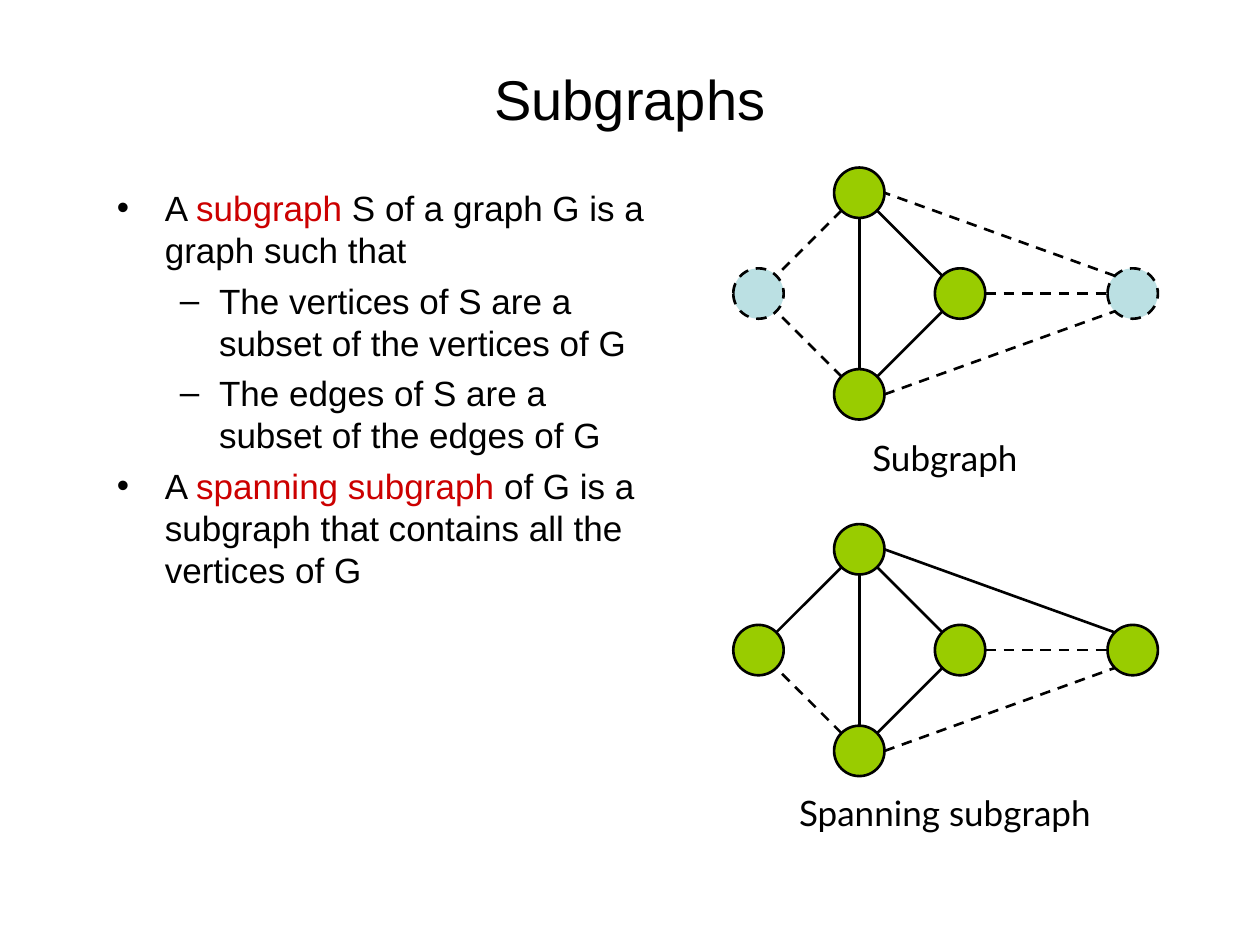
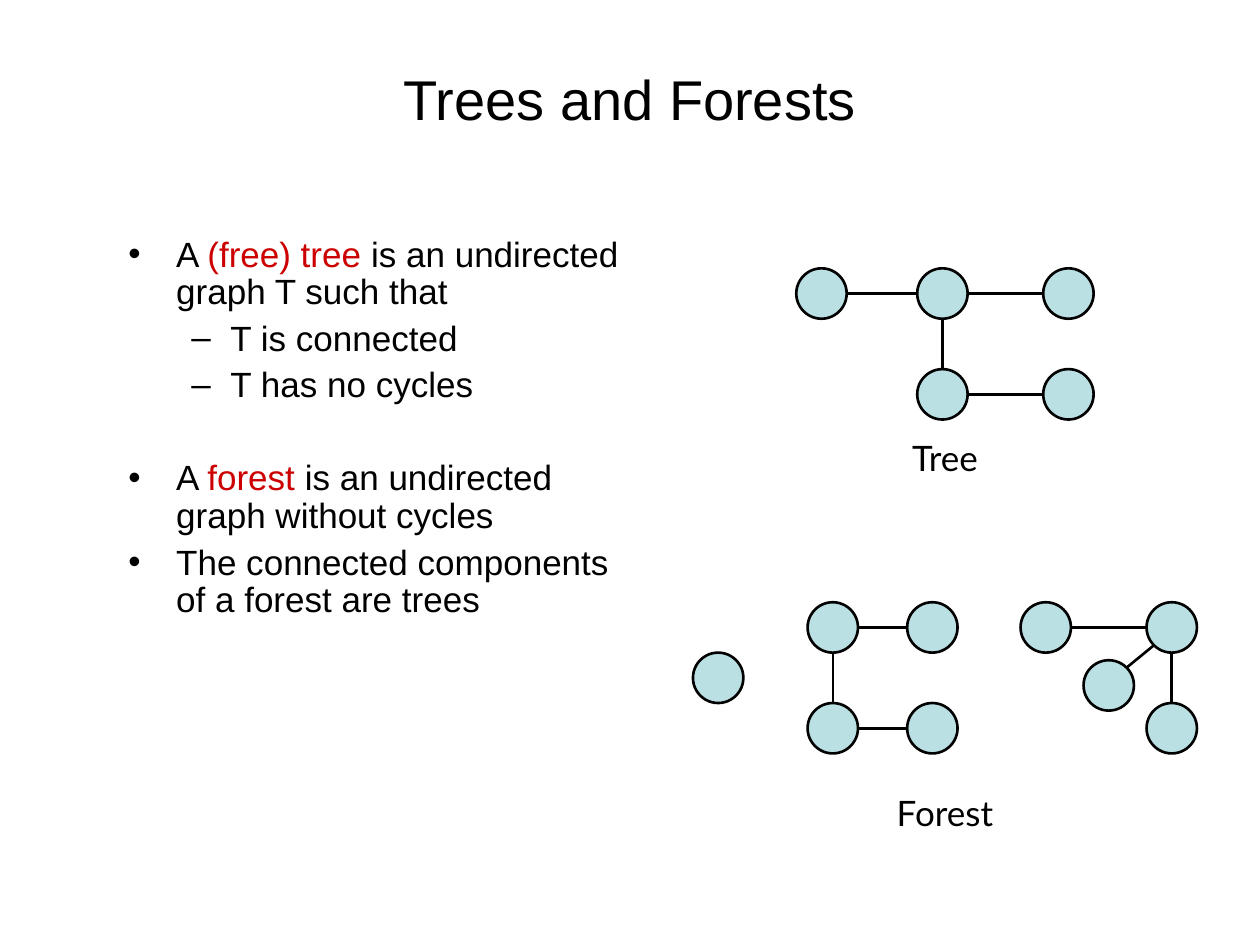
from lxml import etree
from pptx import Presentation
from pptx.dml.color import RGBColor
from pptx.enum.dml import MSO_LINE
from pptx.enum.shapes import MSO_CONNECTOR, MSO_SHAPE
from pptx.enum.text import MSO_ANCHOR, PP_ALIGN
from pptx.oxml.ns import qn
from pptx.util import Inches, Pt

STRAIGHT = MSO_CONNECTOR.STRAIGHT
ELLIPSE = MSO_SHAPE.OVAL
DASH = MSO_LINE.DASH
CENTER = PP_ALIGN.CENTER
MIDDLE = MSO_ANCHOR.MIDDLE

COLORS = {"ink": "000000", "term": "CC0000", "member": "99CC00", "plain": "BBE0E3"}
RADIUS = 0.2
DIAGONAL = 0.14
SITES = {
    "N": (0, -RADIUS), "S": (0, RADIUS), "W": (-RADIUS, 0), "E": (RADIUS, 0),
    "NW": (-DIAGONAL, -DIAGONAL), "NE": (DIAGONAL, -DIAGONAL),
    "SW": (-DIAGONAL, DIAGONAL), "SE": (DIAGONAL, DIAGONAL),
}
BULLETS = [("•", 0.38, -0.38), ("–", 0.81, -0.31)]

DIAMOND_EDGES = [
    ("top", "SW", "left", "NE"), ("bottom", "NW", "left", "SE"),
    ("bottom", "NE", "inner", "SW"), ("top", "SE", "inner", "NW"),
    ("top", "S", "bottom", "N"), ("inner", "E", "right", "W"),
    ("bottom", "E", "right", "SW"), ("right", "NW", "top", "E"),
]
TREE_VERTICES = {
    "left": (6.52, 2.33), "hub": (7.48, 2.33), "right": (8.48, 2.33),
    "below": (7.48, 3.13), "leaf": (8.48, 3.13),
}
TREE_EDGES = [
    ("left", "E", "hub", "W"), ("hub", "E", "right", "W"),
    ("hub", "S", "below", "N"), ("below", "E", "leaf", "W"),
]
FOREST_VERTICES = {
    "single": (5.7, 5.38),
    "a1": (6.61, 4.98), "a2": (7.4, 4.98), "a3": (6.61, 5.78), "a4": (7.4, 5.78),
    "b1": (8.3, 4.98), "b2": (9.3, 4.98), "b3": (9.3, 5.78), "b4": (8.8, 5.44),
}
FOREST_EDGES = [
    ("a1", "E", "a2", "W"), ("a1", "S", "a3", "N"), ("a3", "E", "a4", "W"),
    ("b1", "E", "b2", "W"), ("b2", "S", "b3", "N"), ("b4", "NE", "b2", "SW"),
]


class GraphDeck:
    """Draws titled slides with bulleted text and captioned graphs."""

    def __init__(self):
        self.presentation = Presentation()
        self.presentation.slide_width = Inches(10)
        self.presentation.slide_height = Inches(7.5)
        self.slide = None

    def color(self, name):
        return RGBColor.from_string(COLORS[name])

    def style_line(self, line, dashed):
        line.color.rgb = self.color("ink")
        line.width = Pt(1.5)
        if dashed:
            line.dash_style = DASH

    def text_frame(self, left, top, width, height):
        box = self.slide.shapes.add_textbox(
            Inches(left), Inches(top), Inches(width), Inches(height))
        box.text_frame.word_wrap = True
        return box.text_frame

    def style_font(self, paragraph, name, size):
        paragraph.font.name = name
        paragraph.font.size = Pt(size)

    def centered(self, text, area, font, size):
        frame = self.text_frame(*area)
        frame.vertical_anchor = MIDDLE
        paragraph = frame.paragraphs[0]
        paragraph.text = text
        paragraph.alignment = CENTER
        self.style_font(paragraph, font, size)
        paragraph.font.color.rgb = self.color("ink")

    def start_slide(self, title):
        self.slide = self.presentation.slides.add_slide(
            self.presentation.slide_layouts[6])
        self.centered(title, (0.5, 0.3, 9, 0.95), "Arial", 32)

    def caption(self, text, top):
        self.centered(text, (5.5, top, 4, 0.44), "Lato", 20)

    def bullets(self, items, area, line_spacing=1.0):
        frame = self.text_frame(*area)
        for index, (level, text, space_before) in enumerate(items):
            paragraph = frame.add_paragraph() if index else frame.paragraphs[0]
            paragraph.level = level
            paragraph.line_spacing = line_spacing
            paragraph.space_before = Pt(space_before)
            symbol, margin, indent = BULLETS[level]
            properties = paragraph._p.get_or_add_pPr()
            properties.set("marL", str(Inches(margin)))
            properties.set("indent", str(Inches(indent)))
            etree.SubElement(properties, qn("a:buFont"), typeface="Arial")
            etree.SubElement(properties, qn("a:buChar"), char=symbol)
            self.style_font(paragraph, "Arial", 20)
            for part, words in enumerate(text.split("*")):
                run = paragraph.add_run()
                run.text = words
                run.font.color.rgb = self.color("term" if part % 2 else "ink")

    def vertex(self, center, fill, dashed=False):
        x, y = center
        shape = self.slide.shapes.add_shape(
            ELLIPSE, Inches(x - RADIUS), Inches(y - RADIUS),
            Inches(2 * RADIUS), Inches(2 * RADIUS))
        shape.shadow.inherit = False
        shape.fill.solid()
        shape.fill.fore_color.rgb = self.color(fill)
        self.style_line(shape.line, dashed)

    def edge(self, start, start_site, end, end_site, dashed=False):
        points = [
            Inches(value + offset)
            for center, site in ((start, start_site), (end, end_site))
            for value, offset in zip(center, SITES[site])
        ]
        connector = self.slide.shapes.add_connector(STRAIGHT, *points)
        etree.SubElement(connector._element.spPr, qn("a:effectLst"))
        self.style_line(connector.line, dashed)

    def graph(self, vertices, edges, fill, outside=(), dashed_edges=()):
        for name, center in vertices.items():
            excluded = name in outside
            self.vertex(center, "plain" if excluded else fill, excluded)
        for start, start_site, end, end_site in edges:
            self.edge(vertices[start], start_site, vertices[end], end_site,
                      {start, end} in dashed_edges)


def diamond_vertices(top):
    middle = top + 0.8
    return {
        "top": (6.82, top), "bottom": (6.82, top + 1.6), "left": (6.02, middle),
        "inner": (7.62, middle), "right": (8.99, middle),
    }


def main():
    deck = GraphDeck()

    deck.start_slide("Subgraphs")
    deck.bullets([
        (0, "A *subgraph* S of a graph G is a graph such that", 5),
        (1, "The vertices of S are a subset of the vertices of G", 5),
        (1, "The edges of S are a subset of the edges of G", 5),
        (0, "A *spanning subgraph* of G is a subgraph that contains all "
            "the vertices of G", 5),
    ], (0.83, 1.43, 4.42, 5.52))
    omitted = [{"bottom", "left"}, {"inner", "right"}, {"bottom", "right"}]
    deck.graph(diamond_vertices(1.53), DIAMOND_EDGES, "member", ("left", "right"),
               omitted + [{"top", "left"}, {"top", "right"}])
    deck.caption("Subgraph", 3.41)
    deck.graph(diamond_vertices(4.36), DIAMOND_EDGES, "member", dashed_edges=omitted)
    deck.caption("Spanning subgraph", 6.23)

    deck.start_slide("Trees and Forests")
    deck.bullets([
        (0, "A *(free) tree* is an undirected graph T such that", 5),
        (1, "T is connected", 5),
        (1, "T has no cycles", 5),
        (0, "A *forest* is an undirected graph without cycles", 31.5),
        (0, "The connected components of a forest are trees", 5),
    ], (0.92, 1.83, 4.25, 4.92), line_spacing=0.9)
    deck.graph(TREE_VERTICES, TREE_EDGES, "plain")
    deck.caption("Tree", 3.41)
    deck.graph(FOREST_VERTICES, FOREST_EDGES, "plain")
    deck.caption("Forest", 6.23)

    deck.presentation.save("out.pptx")


if __name__ == "__main__":
    main()
